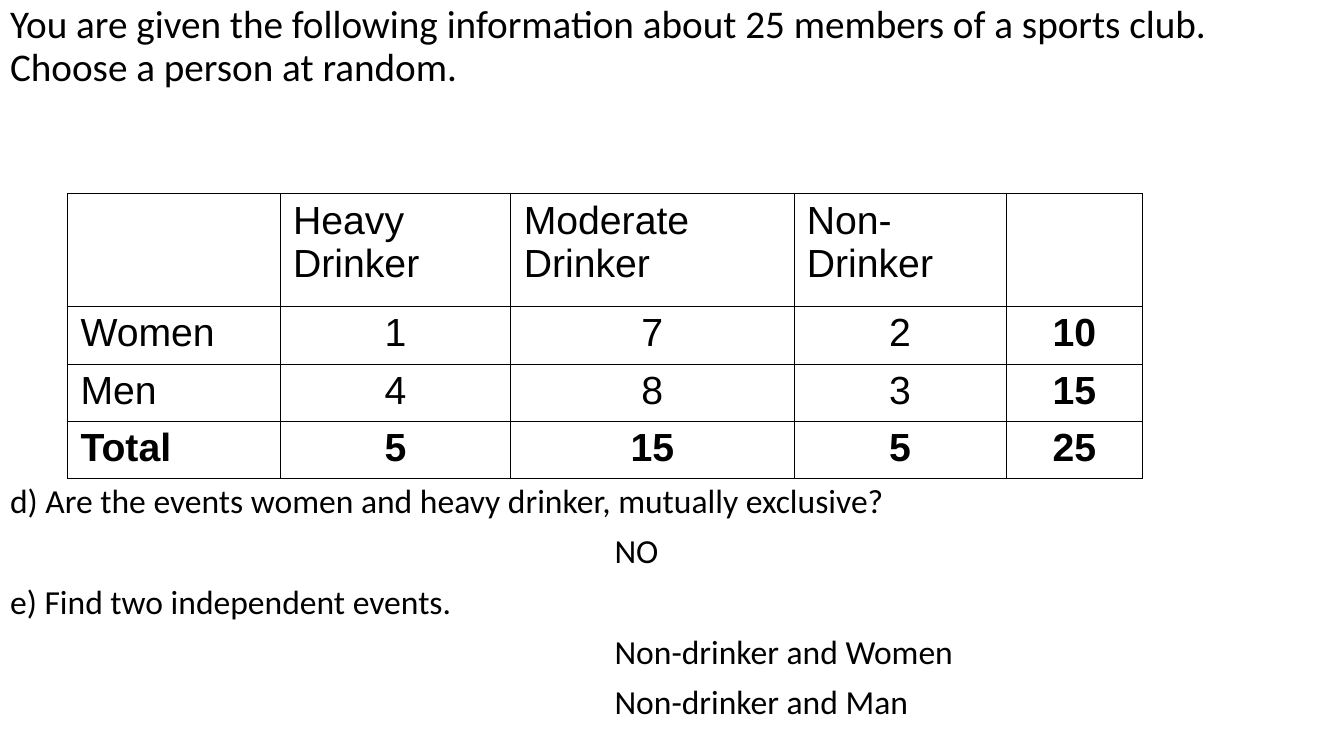
from lxml.etree import SubElement
from pptx import Presentation
from pptx.dml.color import RGBColor
from pptx.enum.text import MSO_ANCHOR, MSO_AUTO_SIZE, PP_ALIGN
from pptx.oxml.ns import qn
from pptx.util import Inches, Pt

BLACK = "000000"
QUESTION_GAP = 282
ANSWER_INDENT = 6

COLUMN_WIDTHS = [2.11, 2.29, 2.81, 2.11, 1.35]
ROW_HEIGHTS = [1.12, 0.57, 0.57, 0.57]
MEMBERS = [
    ["", "Heavy Drinker", "Moderate Drinker", "Non-Drinker", ""],
    ["Women", "1", "7", "2", "10"],
    ["Men", "4", "8", "3", "15"],
    ["Total", "5", "15", "5", "25"],
]
LINES = [
    ("You are given the following information about 25 members of a sports club. "
     "Choose a person at random.", 28, 0, 0),
    ("d) Are the events women and heavy drinker, mutually exclusive?", 24, QUESTION_GAP, 0),
    ("NO", 24, 10, ANSWER_INDENT),
    ("e) Find two independent events.", 24, 10, 0),
    ("Non-drinker and Women", 24, 10, ANSWER_INDENT),
    ("Non-drinker and Man", 24, 10, ANSWER_INDENT),
]


def rgb(value):
    return RGBColor.from_string(value)


def add_run(p, text, font, size, bold=False):
    r = p.add_run()
    r.text = text
    r.font.name = font
    r.font.size = Pt(size)
    r.font.bold = bold
    r.font.color.rgb = rgb(BLACK)


def fill_body(sp):
    sp.left, sp.top = Inches(0), Inches(0)
    sp.width, sp.height = Inches(13.33), Inches(7.5)
    tf = sp.text_frame
    tf.word_wrap = True
    tf.auto_size = MSO_AUTO_SIZE.NONE
    tf.vertical_anchor = MSO_ANCHOR.TOP
    tf.margin_left, tf.margin_right = Inches(0.1), Inches(0.2)
    tf.margin_top = tf.margin_bottom = Inches(0.05)
    for i, (text, size, before, indent) in enumerate(LINES):
        p = tf.add_paragraph() if i else tf.paragraphs[0]
        pPr = p._p.get_or_add_pPr()
        pPr.set("marL", str(Inches(indent)))
        pPr.set("indent", "0")
        SubElement(pPr, qn("a:buNone"))
        p.alignment = PP_ALIGN.LEFT
        p.line_spacing = 0.9
        p.space_before = Pt(before)
        add_run(p, text, "Calibri", size)


def set_borders(cell, colour, width):
    tcPr = cell._tc.get_or_add_tcPr()
    for side in ("lnL", "lnR", "lnT", "lnB"):
        ln = SubElement(tcPr, qn(f"a:{side}"), w=str(Pt(width)))
        fill = SubElement(ln, qn("a:solidFill"))
        SubElement(fill, qn("a:srgbClr"), val=colour)


def fill_cell(cell, text, bold, centred):
    set_borders(cell, BLACK, 0.45)
    cell.fill.background()
    cell.margin_left = cell.margin_right = Inches(0.13)
    cell.margin_top = cell.margin_bottom = Inches(0.05)
    if text:
        p = cell.text_frame.paragraphs[0]
        p.alignment = PP_ALIGN.CENTER if centred else PP_ALIGN.LEFT
        add_run(p, text, "Arial", 28, bold)


def add_members_table(s):
    rows, cols = len(ROW_HEIGHTS), len(COLUMN_WIDTHS)
    table = s.shapes.add_table(rows, cols, Inches(0.67), Inches(1.92),
                               Inches(sum(COLUMN_WIDTHS)), Inches(sum(ROW_HEIGHTS))).table
    table.first_row = table.horz_banding = False
    for column, width in zip(table.columns, COLUMN_WIDTHS):
        column.width = Inches(width)
    for row, height in zip(table.rows, ROW_HEIGHTS):
        row.height = Inches(height)
    for i, texts in enumerate(MEMBERS):
        for j, text in enumerate(texts):
            is_total = i == rows - 1 or j == cols - 1
            fill_cell(table.cell(i, j), text, is_total, i > 0 and j > 0)


def main():
    prs = Presentation()
    prs.slide_width, prs.slide_height = Inches(13.34), Inches(7.5)
    s = prs.slides.add_slide(prs.slide_layouts[1])
    title = s.shapes.title
    title._element.getparent().remove(title._element)
    fill_body(s.placeholders[1])
    add_members_table(s)
    prs.save("out.pptx")


if __name__ == "__main__":
    main()
